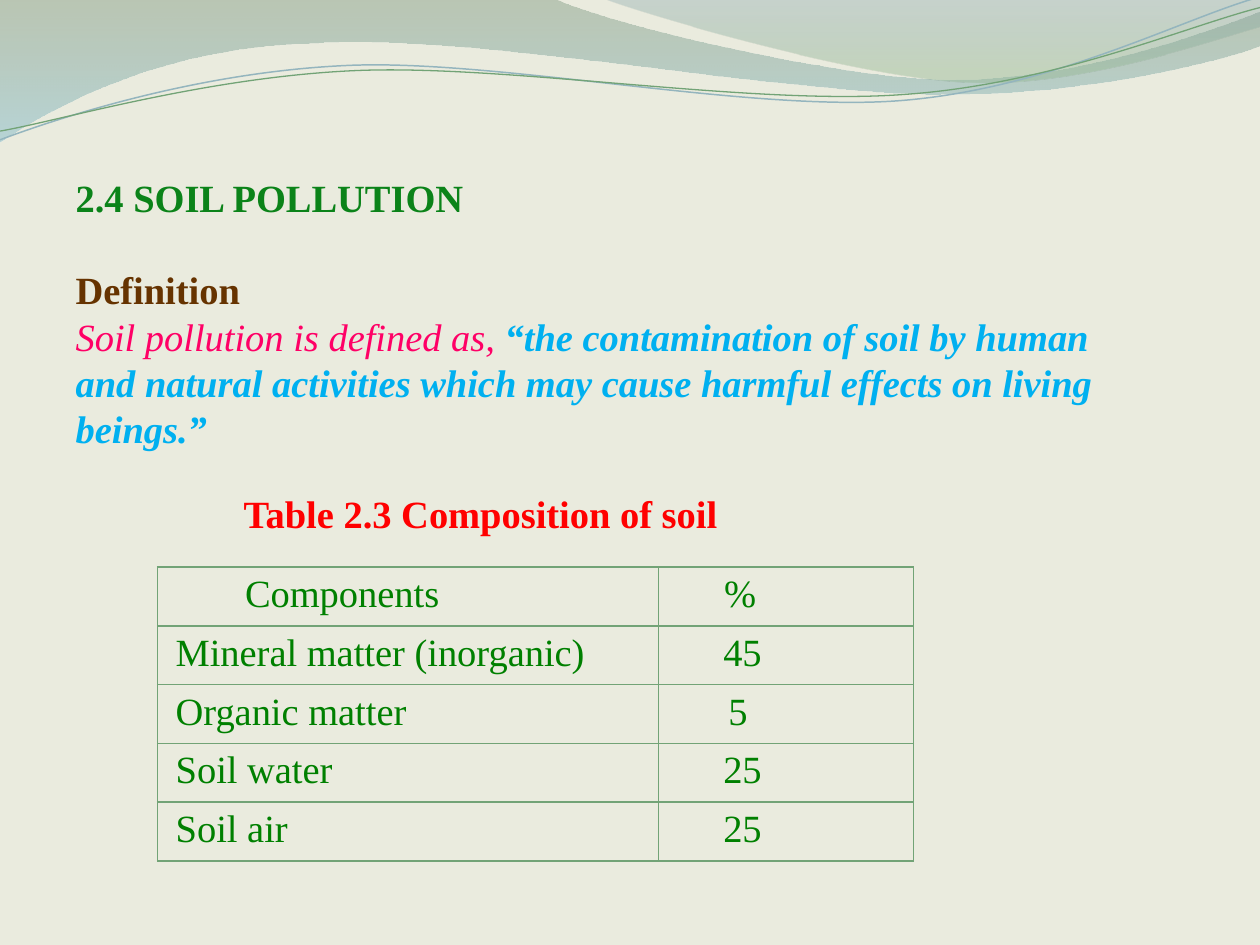
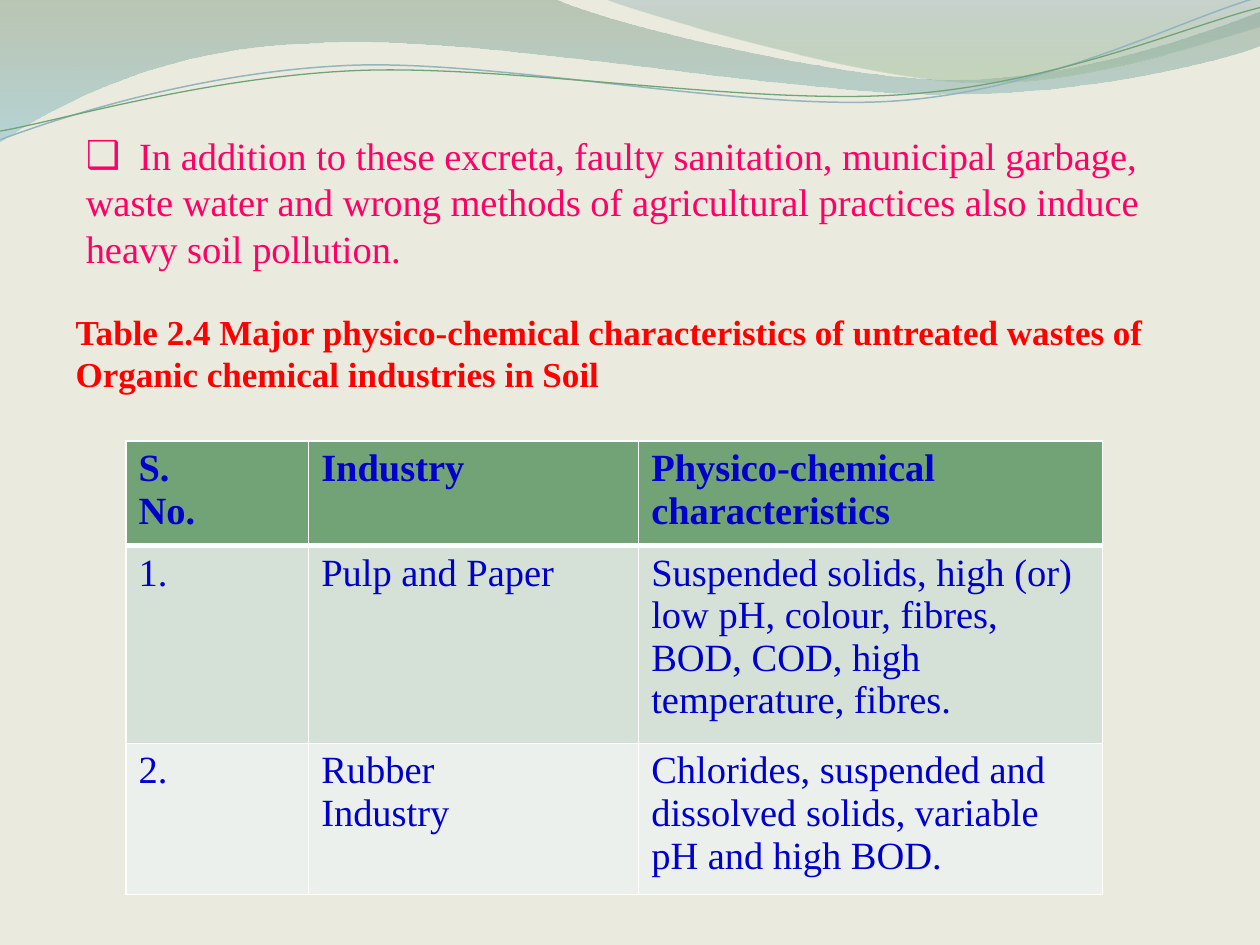
from lxml import etree
from pptx import Presentation
from pptx.dml.color import RGBColor
from pptx.enum.text import MSO_ANCHOR, MSO_AUTO_SIZE, PP_ALIGN
from pptx.oxml.ns import qn
from pptx.util import Pt

TOP, LEFT, NO_FIT = MSO_ANCHOR.TOP, PP_ALIGN.LEFT, MSO_AUTO_SIZE.NONE
FONT = "Times New Roman"
COLORS = {
    "paper": "EAEBDE", "heading": "0B8319", "term": "663300", "pink": "FF0066",
    "sky": "00B0F0", "caption": "FF0000", "soil": "008000", "waste": "0000CC",
    "leaf": "72A376", "mist": "94B5BE", "white": "FFFFFF",
    "band_dark": "D5E0D6", "band_light": "EBF0EC",
    "sage": "809980", "aqua": "8DC1CF", "slate": "779BA4", "moss": "96B996",
}

BAND_WAVE = [
    (0, 0), (316.8, -0.7), (342.7, 12.2, 478.1, 45.4, 545.8, 45.4),
    (614.2, 45.4, 689.8, 18.7, 720, 6.5), (720.7, 25.9),
    (707.8, 31.7, 626.4, 54.7, 537.1, 54), (447.8, 54, 275, 20.2, 185, 24.5),
    (92.9, 25.9, 33.1, 59.8, -0.7, 81.4),
]
CORNER_WAVE = [
    (344.9, -0.7), (366.5, 7.9, 491, 44.6, 553.7, 46.8),
    (616.3, 49.7, 691.9, 23, 720, 15.1), (720, 0),
]
MIST_LINE = [
    (0, 79.9), (34.6, 67, 113.8, 41, 199.4, 37.4),
    (284.4, 33.8, 427, 64.1, 513.4, 57.6), (599.8, 51.1, 675.4, 10.8, 718.6, -1.4),
]
LEAF_LINE = [
    (0, 74.9), (33.8, 69.1, 118.1, 43.9, 203.8, 40.3),
    (290.2, 36.7, 429.8, 60.5, 516.2, 54), (601.9, 48.2, 677.5, 15.1, 720, 4.3),
]

SOIL_ROWS = [
    ("Components", "%"), ("Mineral matter (inorganic)", "45"),
    ("Organic matter", "5"), ("Soil water", "25"), ("Soil air", "25"),
]
WASTE_ROWS = [
    ("S.\nNo.", "Industry", "Physico-chemical characteristics"),
    ("1.", "Pulp and Paper", "Suspended solids, high (or) low pH, colour, fibres, "
     "BOD, COD, high temperature, fibres."),
    ("2.", "Rubber\nIndustry", "Chlorides, suspended and dissolved solids, "
     "variable pH and high BOD."),
]


def rgb(name):
    """Return the named colour."""
    return RGBColor.from_string(COLORS[name])


def set_all(target, **values):
    """Set each given attribute on the target."""
    for name, value in values.items():
        setattr(target, name, value)


def format_font(font, color, size=22, **values):
    """Give a font its face, size, colour and style."""
    set_all(font, name=FONT, size=Pt(size), **values)
    font.color.rgb = rgb(color)


def draw_curve(slide, steps, close):
    """Build a freeform, turning each six-number step into a Bezier segment."""
    points = [(Pt(step[i]), Pt(step[i + 1]))
              for step in steps for i in range(0, len(step), 2)]
    builder = slide.shapes.build_freeform(*points[0])
    builder.add_line_segments(points[1:], close=close)
    sp = builder.convert_to_shape()
    sp.shadow.inherit = False
    lines = iter(list(sp.element.iter(qn("a:lnTo"))))
    for step in steps[1:]:
        first = next(lines)
        if len(step) == 6:
            curve = etree.Element(qn("a:cubicBezTo"))
            first.addprevious(curve)
            for line in (first, next(lines), next(lines)):
                curve.append(line[0])
                line.getparent().remove(line)
    return sp


def add_wave(slide, steps, stops):
    """Draw a closed wave with a translucent vertical gradient."""
    sp = draw_curve(slide, steps, True)
    sp.line.fill.background()
    sp.fill.gradient()
    sp.fill.gradient_angle = 270
    for stop, (position, color, _) in zip(sp.fill.gradient_stops, stops):
        stop.position = position
        stop.color.rgb = rgb(color)
    for clr, (_, _, opacity) in zip(sp.element.iter(qn("a:srgbClr")), stops):
        etree.SubElement(clr, qn("a:alpha"), val=str(opacity * 1000))
    return sp


def add_strand(slide, steps, color, width):
    """Draw an open curved line."""
    sp = draw_curve(slide, steps, False)
    sp.fill.background()
    sp.line.color.rgb = rgb(color)
    sp.line.width = Pt(width)
    return sp


def decorate_master(prs, slide):
    """Put the background and the wave band on the slide master."""
    master = prs.slide_master
    master.background.fill.solid()
    master.background.fill.fore_color.rgb = rgb("paper")
    band = [
        add_wave(slide, BAND_WAVE, [(0, "sage", 45), (1, "aqua", 55)]),
        add_wave(slide, CORNER_WAVE, [(0, "slate", 30), (0.8, "moss", 45)]),
        add_strand(slide, MIST_LINE, "mist", 0.85),
        add_strand(slide, LEAF_LINE, "leaf", 0.75),
    ]
    for i, sp in enumerate(band):
        sp.element.nvSpPr.cNvPr.set("id", str(20 + i))
        master.shapes.element.insert(2 + i, sp.element)


def fill_text(sp, box, paragraphs, size=22, bullet=None):
    """Place a text shape and write paragraphs of (text, color, style) runs."""
    set_all(sp, **dict(zip(("left", "top", "width", "height"), map(Pt, box))))
    tf = sp.text_frame
    set_all(tf, word_wrap=True, auto_size=NO_FIT, vertical_anchor=TOP)
    for i, runs in enumerate(paragraphs):
        p = tf.add_paragraph() if i else tf.paragraphs[0]
        set_all(p, alignment=LEFT, line_spacing=Pt(size * 1.2),
                space_before=Pt(0), space_after=Pt(0))
        pPr = p._p.get_or_add_pPr()
        set_indent(p, 0)
        if bullet:
            etree.SubElement(pPr, qn("a:buChar"), char=bullet)
            tabs = etree.SubElement(pPr, qn("a:tabLst"))
            etree.SubElement(tabs, qn("a:tab"), pos=str(Pt(30.5)), algn="l")
        else:
            etree.SubElement(pPr, qn("a:buNone"))
        for text, color, style in runs:
            r = p.add_run()
            r.text = text
            format_font(r.font, color, size, **style)


def set_indent(p, left):
    """Set the left margin of a paragraph without a first-line indent."""
    pPr = p._p.get_or_add_pPr()
    pPr.set("marL", str(Pt(left)))
    pPr.set("indent", "0")


def set_border(cell, color, widths):
    """Draw the left, right, top and bottom borders of a cell."""
    tcPr = cell._tc.get_or_add_tcPr()
    for side, width in zip("LRTB", widths):
        ln = etree.SubElement(tcPr, qn("a:ln" + side), w=str(Pt(width)))
        fill = etree.SubElement(ln, qn("a:solidFill"))
        etree.SubElement(fill, qn("a:srgbClr"), val=COLORS[color])


def add_grid(slide, left, top, col_widths, row_heights, rows, color):
    """Add a plain table and return its cells by row."""
    frame = slide.shapes.add_table(len(rows), len(col_widths), Pt(left), Pt(top),
                                   Pt(sum(col_widths)), Pt(sum(row_heights)))
    table = frame.table
    set_all(table, first_row=False, horz_banding=False)
    for col, width in zip(table.columns, col_widths):
        col.width = Pt(width)
    for row, height in zip(table.rows, row_heights):
        row.height = Pt(height)
    for row, texts in zip(table.rows, rows):
        for cell, text in zip(row.cells, texts):
            cell.text = text
            for p in cell.text_frame.paragraphs:
                for r in p.runs:
                    format_font(r.font, color, bold=False)
    return [list(row.cells) for row in table.rows]


def add_soil_table(slide, left, top):
    """Add the outlined table of soil components, its names kept unbroken."""
    rows = [(name.replace(" ", chr(160)), share) for name, share in SOIL_ROWS]
    cells = add_grid(slide, left, top, (286.4, 145.6), [33.6] * 5, rows, "soil")
    for i, row in enumerate(cells):
        indents = (42.8, 30.2) if i == 0 else (3.2, 32.6 if i == 2 else 29.7)
        for cell, indent in zip(row, indents):
            set_border(cell, "leaf", (1, 1, 1, 1))
            cell.fill.background()
            set_indent(cell.text_frame.paragraphs[0], indent)


def add_waste_table(slide, left, top):
    """Add the banded table of industrial wastes."""
    cells = add_grid(slide, left, top, (104.4, 188.6, 265), (59.8, 113, 86.4),
                     WASTE_ROWS, "waste")
    for i, (row, band) in enumerate(zip(cells, ("leaf", "band_dark", "band_light"))):
        for cell in row:
            set_border(cell, "white", (1, 1, 3 if i == 1 else 1, 3 if i == 0 else 1))
            cell.fill.solid()
            cell.fill.fore_color.rgb = rgb(band)
            for p in cell.text_frame.paragraphs:
                for r in p.runs:
                    r.font.bold = i == 0


def build_definition(slide):
    """Fill the slide that defines soil pollution."""
    title, body = slide.placeholders
    bold, italic = {"bold": True}, {"bold": False, "italic": True}
    fill_text(body, (36, 95.8, 630, 220.3), [
        [("2.4 SOIL POLLUTION", "heading", bold)],
        [("Definition", "term", bold)],
        [("Soil pollution is defined as, ", "pink", italic),
         ("“the contamination of soil by human and natural activities which may "
          "cause harmful effects on living beings.”", "sky",
          {"bold": True, "italic": True})],
    ])
    body.text_frame.paragraphs[1].space_before = Pt(26.4)
    fill_text(title, (132, 276.2, 288.7, 60.5),
              [[("Table 2.3 Composition of soil", "caption", bold)]])
    add_soil_table(slide, 90, 324)


def build_wastes(slide):
    """Fill the slide on untreated industrial wastes."""
    title, body = slide.placeholders
    fill_text(body, (41.8, 72, 617.8, 87.1), [[(
        "\tIn addition to these excreta, faulty sanitation, municipal garbage, waste "
        "water and wrong methods of agricultural practices also induce heavy soil "
        "pollution.", "pink", {})]], bullet="❑")
    fill_text(title, (36, 173.8, 635.8, 55.4), [[(
        "Table 2.4 Major physico-chemical characteristics of untreated wastes of "
        "Organic chemical industries in Soil", "caption", {"bold": True})]], size=20)
    add_waste_table(slide, 72, 252)


def main():
    """Build and save the deck."""
    prs = Presentation()
    set_all(prs, slide_width=Pt(720), slide_height=Pt(540))
    builders = (build_definition, build_wastes)
    slides = [prs.slides.add_slide(prs.slide_layouts[1]) for _ in builders]
    decorate_master(prs, slides[0])
    for build, slide in zip(builders, slides):
        build(slide)
    prs.save("out.pptx")


if __name__ == "__main__":
    main()
